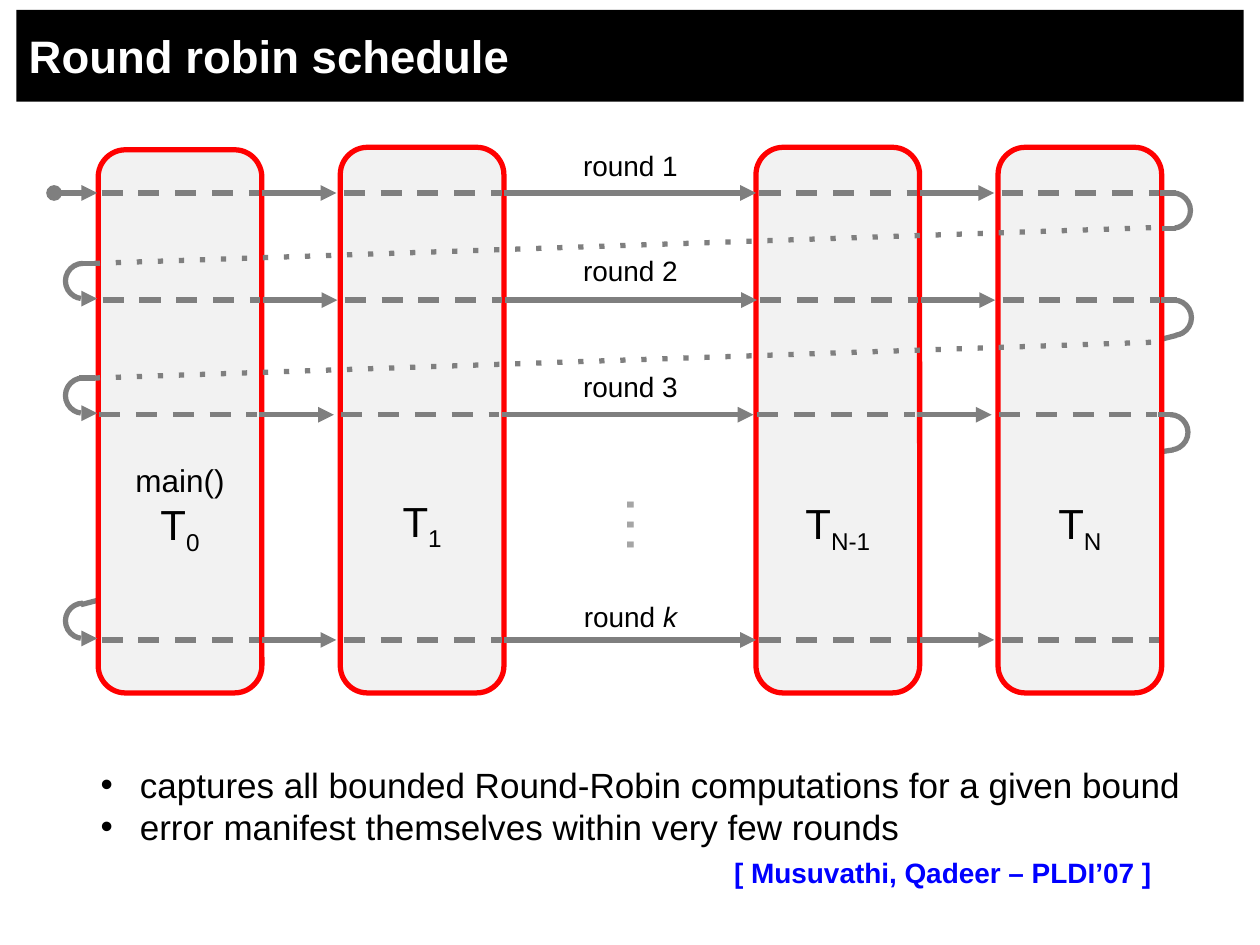
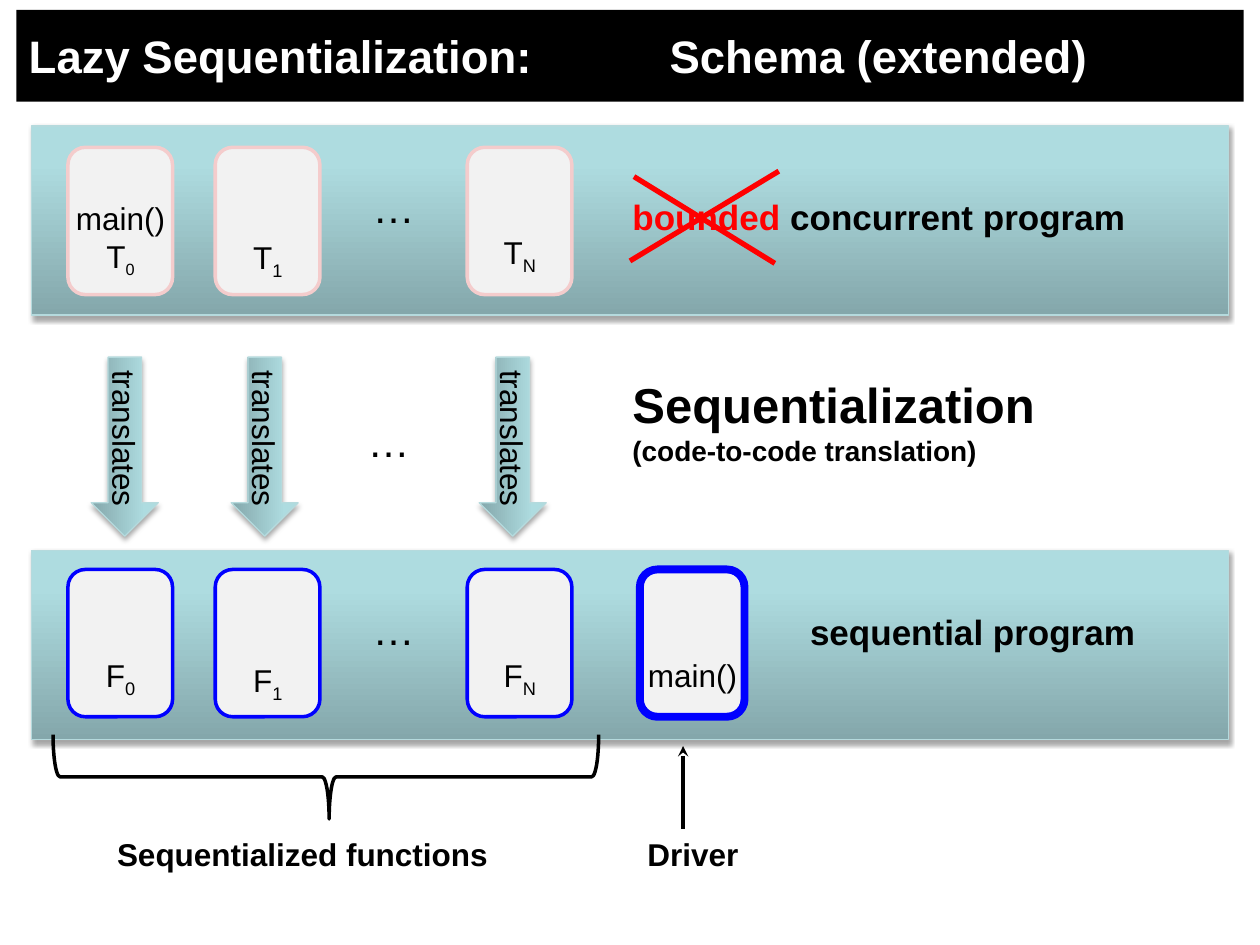
import dataclasses

import pptx
import pptx.dml.color
import pptx.enum.shapes
import pptx.enum.text
import pptx.oxml
import pptx.oxml.ns
import pptx.util
from lxml import etree

Cm = pptx.util.Cm
Pt = pptx.util.Pt
qn = pptx.oxml.ns.qn
rgb = pptx.dml.color.RGBColor.from_string
SHAPE = pptx.enum.shapes.MSO_SHAPE
ALIGN = pptx.enum.text.PP_ALIGN
ANCHOR = pptx.enum.text.MSO_ANCHOR


@dataclasses.dataclass(frozen=True)
class Theme:
    font: str = "Arial"
    ink: str = "000000"
    paper: str = "FFFFFF"
    card: str = "F2F2F2"
    flow: str = "7F7F7F"
    dots: str = "A5A5A5"
    red: str = "FF0000"
    blue: str = "0000FF"
    pink: str = "F4CCCC"
    teal_edge: str = "B5DADD"
    teal_stops: tuple = ((0, "84A7AB"), (80, "AEDCE0"), (100, "AEDEE2"))
    title: int = 26
    headline: int = 28
    thread: int = 24
    body: int = 20
    label: int = 18
    small: int = 16
    ellipsis: int = 36


theme = Theme()
SUB = {"baseline": "-25000"}
ITALIC = {"i": "1"}
TEAL = dict(fill="teal", line=theme.teal_edge, weight=0.75)


def block(slide, box, *paragraphs, shape=None, fill=None, line=None, weight=3,
          adjust=(), flip=False, rotation=0, size=theme.label, color=theme.ink,
          bold=False, align=ALIGN.LEFT, anchor=ANCHOR.TOP, wrap=True, bullet=False, tab=None):
    """Add a text box or preset shape (box in cm). A paragraph is a string or a
    list of runs; a run is a string or (string, run attributes[, colour[, size]])."""
    place = [Cm(length) for length in box]
    if shape is None:
        item = slide.shapes.add_textbox(*place)
    else:
        item = slide.shapes.add_shape(shape, *place)
        item.shadow.inherit = False
        for index, value in enumerate(adjust):
            item.adjustments[index] = value
        properties = item._element.spPr
        if flip:
            properties.find(qn("a:xfrm")).set("flipH", "1")
        if fill == "teal":
            item.fill.gradient()
            stops = "".join(f'<a:gs pos="{at * 1000}"><a:srgbClr val="{tone}"/></a:gs>'
                            for at, tone in theme.teal_stops)
            space = pptx.oxml.ns.nsdecls("a")
            properties.replace(properties.find(qn("a:gradFill")), pptx.oxml.parse_xml(
                f'<a:gradFill {space} rotWithShape="1"><a:gsLst>{stops}</a:gsLst>'
                '<a:lin ang="16200000" scaled="0"/></a:gradFill>'))
            properties.find(qn("a:effectLst")).append(pptx.oxml.parse_xml(
                f'<a:outerShdw {space} blurRad="40000" dist="23000" dir="5400000" '
                'rotWithShape="0"><a:srgbClr val="000000"><a:alpha val="35000"/>'
                '</a:srgbClr></a:outerShdw>'))
        elif fill:
            item.fill.solid()
            item.fill.fore_color.rgb = rgb(fill)
        else:
            item.fill.background()
        if line:
            item.line.color.rgb = rgb(line)
            item.line.width = Pt(weight)
        else:
            item.line.fill.background()
    item.rotation = rotation

    frame = item.text_frame
    frame.word_wrap = wrap
    frame.vertical_anchor = anchor
    for index, runs in enumerate(paragraphs):
        paragraph = frame.add_paragraph() if index else frame.paragraphs[0]
        paragraph.alignment = align
        layout = paragraph._p.get_or_add_pPr()
        if bullet:
            layout.set("marL", str(Cm(2.06)))
            layout.set("indent", str(Cm(-0.79)))
            etree.SubElement(layout, qn("a:buFont")).set("typeface", theme.font)
            etree.SubElement(layout, qn("a:buChar")).set("char", "•")
        if tab:
            stop = etree.SubElement(etree.SubElement(layout, qn("a:tabLst")), qn("a:tab"))
            stop.set("pos", str(Cm(tab)))
            stop.set("algn", "l")
        for part in [runs] if isinstance(runs, str) else runs:
            words, extra, tone, points = ((part, {}, color, size) if isinstance(part, str)
                                          else (*part, color, size)[:2] + (*part[2:], *(color, size)[len(part) - 2:]))
            run = paragraph.add_run()
            run.text = words
            run.font.name = theme.font
            run.font.size = Pt(points)
            run.font.bold = bold
            run.font.color.rgb = rgb(tone)
            for name, value in extra.items():
                run._r.get_or_add_rPr().set(name, value)


def stroke(slide, x1, y1, x2, y2, color=theme.flow, weight=3, dash=None, head=None, tail=None):
    """Draw a straight line between two points in cm; tail is the arrowhead at the end."""
    link = slide.shapes.add_connector(pptx.enum.shapes.MSO_CONNECTOR.STRAIGHT,
                                      Cm(x1), Cm(y1), Cm(x2), Cm(y2))
    link.line.color.rgb = rgb(color)
    link.line.width = Pt(weight)
    outline = link.line._get_or_add_ln()
    for tag, key, value in (("prstDash", "val", dash), ("headEnd", "type", head),
                            ("tailEnd", "type", tail)):
        if value:
            etree.SubElement(outline, qn("a:" + tag)).set(key, value)
    etree.SubElement(link._element.spPr, qn("a:effectLst"))


deck = pptx.Presentation()
deck.slide_width, deck.slide_height = Cm(25.4), Cm(19.05)
robin, schema = [deck.slides.add_slide(deck.slide_layouts[6]) for _ in range(2)]
for slide, title in ((robin, "Round robin schedule"),
                     (schema, "Lazy Sequentialization:\tSchema (extended)")):
    block(slide, (0.33, 0.2, 24.74, 1.85), title, shape=SHAPE.RECTANGLE, fill=theme.ink,
          size=theme.title, color=theme.paper, bold=True, anchor=ANCHOR.MIDDLE, tab=12.92)

# Round robin schedule: slanted ends that run behind the threads
for slant in ((20.52, 9.53, 23.65, 9.07), (20.32, 7.62, 23.72, 6.76), (1.63, 12.19, 5.28, 11.23)):
    stroke(robin, *slant)

# Threads
thread_width, thread_bottom = 3.3, 13.97
threads = (
    (1.98, 3.02, 9.17, ["main()", [("T", {}, theme.ink, theme.thread),
                                   ("0", SUB, theme.ink, theme.thread)]]),
    (6.86, 2.97, 9.86, [["T", ("1", SUB)]]),
    (15.24, 2.97, 9.91, [["T", ("N-1", SUB)]]),
    (20.12, 2.97, 9.91, [["T", ("N", SUB)]]),
)
for left, top, label_top, label in threads:
    block(robin, (left, top, thread_width, thread_bottom - top), shape=SHAPE.ROUNDED_RECTANGLE,
          fill=theme.card, line=theme.red, adjust=[0.167])
    block(robin, (left + 0.28, label_top, 2.74, 1.27), *label, align=ALIGN.CENTER,
          size=theme.label if len(label) > 1 else theme.thread)

# Rounds: dashes inside each thread, arrows between threads
lefts = [thread[0] for thread in threads]
rounds = ((3.89, 0, 2.87, "1"), (6.05, 0.02, 4.98, "2"),
          (8.36, -0.05, 7.32, "3"), (12.9, 0, 11.96, ("k", ITALIC)))
for y, shift, label_top, number in rounds:
    for left in lefts:
        stroke(robin, left + 0.07 + shift, y, left + 3.25 + shift, y, dash="dash")
    for left, following, gap in zip(lefts, lefts[1:], (0.08, 0, 0.08)):
        stroke(robin, left + thread_width + shift, y, following - gap + shift, y, tail="triangle")
    block(robin, (10.59, label_top, 4.24, 0.94), ["round ", number],
          size=theme.small, align=ALIGN.CENTER)

# Turns at the end and start of rounds
turn = 0.71
hook = dict(shape=SHAPE.ARC, line=theme.flow, adjust=(162, 49.687))
for y, shift, *_ in rounds[:3]:
    block(robin, (23.29 + shift, y, turn, turn), **hook)
    stroke(robin, 23.39 + shift, y, 23.7 + shift, y)
stroke(robin, 23.42, 4.6, 23.7, 4.6)
for y, shift, *_ in rounds[1:]:
    block(robin, (1.32, y - 0.03 - turn, turn, turn), flip=True, **hook)
    stroke(robin, 1.65, y - 0.03, 1.96, y - 0.03, tail="triangle")
for y in (5.31, 7.62):
    stroke(robin, 1.6, y, 1.91, y)
    stroke(robin, 1.91, y, 23.5, y - 0.73, dash="dot")
stroke(robin, 1.09, 3.89, 1.96, 3.89, head="oval", tail="triangle")

block(robin, (11.68, 9.68, 2.97, 1.8), "…", rotation=90, size=theme.ellipsis,
      color=theme.dots, align=ALIGN.CENTER, anchor=ANCHOR.MIDDLE)
block(robin, (0.51, 15.27, 24.26, 2.06),
      "captures all bounded Round-Robin computations for a given bound",
      "error manifest themselves within very few rounds", size=theme.body, bullet=True)
block(robin, (14.55, 17.13, 10, 0.94), "[ Musuvathi, Qadeer – PLDI’07 ]",
      size=theme.small, color=theme.blue, bold=True)

# Lazy sequentialization: bands for the concurrent and the sequential program
for top in (11.1, 2.54):
    block(schema, (0.64, top, 24.13, 3.81), shape=SHAPE.RECTANGLE, **TEAL)

concurrent_top, sequential_top = 2.97, 11.48
cards = (
    (1.37, concurrent_top, theme.pink, 2, 3.89,
     ["main()", ["T", ("0", SUB, theme.ink, theme.small)]]),
    (4.34, concurrent_top, theme.pink, 2, 4.67, [["T", ("1", SUB)]]),
    (9.42, concurrent_top, theme.pink, 2, 4.57, [["T", ("N", SUB)]]),
    (1.37, sequential_top, theme.blue, 2, 13.11, [["F", ("0", SUB)]]),
    (4.34, sequential_top, theme.blue, 2, 13.21, [["F", ("1", SUB)]]),
    (9.42, sequential_top, theme.blue, 2, 13.11, [["F", ("N", SUB)]]),
    (12.9, sequential_top, theme.blue, 4.5, 13.11, ["main()"]),
)
for left, top, edge, weight, label_top, label in cards:
    block(schema, (left, top, 2.11, 2.97), shape=SHAPE.ROUNDED_RECTANGLE, fill=theme.card,
          line=edge, weight=weight, adjust=[0.167])
    block(schema, (left - 0.21, label_top, 2.54, 1.02), *label, align=ALIGN.CENTER)
for left, top in ((6.45, 3.53), (6.35, 8.26), (6.45, 12.04)):
    block(schema, (left, top, 2.97, 1.27), "…", size=theme.thread, align=ALIGN.CENTER)

for left in (8.53, 3.53, 0.71):
    block(schema, (left, 8.33, 3.61, 1.35), "translates", shape=SHAPE.RIGHT_ARROW, rotation=90,
          align=ALIGN.CENTER, anchor=ANCHOR.MIDDLE, wrap=False, **TEAL)

for box, size, lines in (
    ((12.5, 3.81, 12.7, 1.12), theme.body, [[("bounded ", {}, theme.red), "concurrent program"]]),
    ((16.08, 12.19, 8.7, 1.12), theme.body, ["sequential program"]),
    ((12.5, 7.42, 12.27, 2.13), theme.headline,
     ["Sequentialization", [("(code-to-code translation)", {}, theme.ink, theme.small)]]),
    ((2.11, 16.71, 10, 1.02), theme.label, ["Sequentialized functions"]),
    ((12.8, 16.71, 6.6, 1.02), theme.label, ["Driver"]),
):
    block(schema, box, *lines, size=size, bold=True)

block(schema, (5.72, 10.16, 1.7, 11), shape=SHAPE.LEFT_BRACE, rotation=270,
      line=theme.ink, weight=2, adjust=(0.083, 0.506))
stroke(schema, 13.77, 16.71, 13.77, 15.04, color=theme.ink, weight=2, tail="stealth")
for cross in ((12.78, 3.56, 15.62, 5.31), (12.7, 5.26, 15.7, 3.45)):
    stroke(schema, *cross, color=theme.red)

deck.save("out.pptx")
